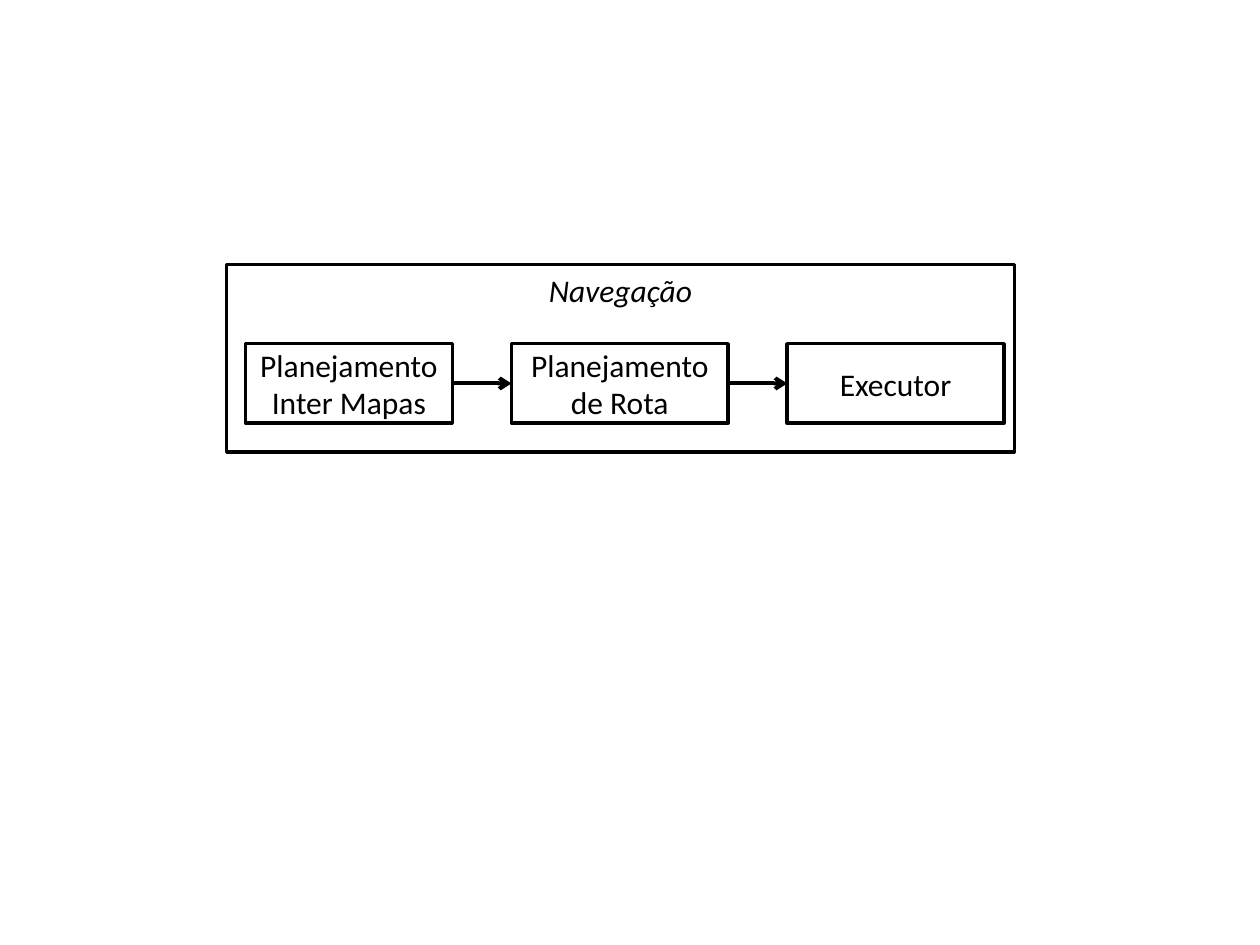
from lxml import etree
from pptx import Presentation
from pptx.dml.color import RGBColor
from pptx.enum.shapes import MSO_CONNECTOR, MSO_SHAPE
from pptx.enum.text import MSO_ANCHOR, PP_ALIGN
from pptx.oxml.ns import qn
from pptx.util import Cm, Pt

RECTANGLE = MSO_SHAPE.RECTANGLE
STRAIGHT = MSO_CONNECTOR.STRAIGHT
TOP, MIDDLE = MSO_ANCHOR.TOP, MSO_ANCHOR.MIDDLE
CENTER = PP_ALIGN.CENTER
LEFT_SIDE, RIGHT_SIDE = 1, 3

# Content
TITLE = "Navegação"
STAGES = [  # paragraphs, width in cm
    (["Planejamento", "Inter Mapas"], 4.17),
    (["Planejamento de Rota"], 4.37),
    (["Executor"], 4.37),
]

# Layout in cm and formats
FRAME = (4.57, 5.33, 15.88, 3.78)
STAGE_LEFT, STAGE_TOP, STAGE_HEIGHT, GAP = 4.95, 6.93, 1.6, 1.19
COLORS = {"ink": "000000"}
INK = RGBColor.from_string(COLORS["ink"])
FONT = {"name": "Calibri", "size": Pt(18)}


def add_box(slide, position, lines, anchor=MIDDLE, **font_extra):
    shape = slide.shapes.add_shape(RECTANGLE, *map(Cm, position))
    shape.shadow.inherit = False
    shape.fill.background()
    shape.line.color.rgb = INK
    shape.line.width = Pt(2)
    frame = shape.text_frame
    frame.word_wrap = True
    frame.vertical_anchor = anchor
    frame.text = "\n".join(lines)
    for paragraph in frame.paragraphs:
        paragraph.alignment = CENTER
        font = paragraph.runs[0].font
        font.color.rgb = INK
        for key, value in {**FONT, **font_extra}.items():
            setattr(font, key, value)
    return shape


def add_arrow(slide, source, target):
    arrow = slide.shapes.add_connector(STRAIGHT, 0, 0, 0, 0)
    arrow.begin_connect(source, RIGHT_SIDE)
    arrow.end_connect(target, LEFT_SIDE)
    arrow.line.color.rgb = INK
    arrow.line.width = Pt(2.25)
    properties = arrow._element.spPr
    etree.SubElement(properties.find(qn("a:ln")), qn("a:tailEnd"), type="arrow")
    etree.SubElement(properties, qn("a:effectLst"))


def main():
    presentation = Presentation()
    presentation.slide_width, presentation.slide_height = Cm(25.4), Cm(19.05)
    slide = presentation.slides.add_slide(presentation.slide_layouts[6])

    # Outer frame with its title
    add_box(slide, FRAME, [TITLE], TOP, italic=True)

    # Chain of stages, each joined to the one before
    left, previous = STAGE_LEFT, None
    for lines, width in STAGES:
        box = add_box(slide, (left, STAGE_TOP, width, STAGE_HEIGHT), lines)
        if previous is not None:
            add_arrow(slide, previous, box)
        left, previous = left + width + GAP, box

    presentation.save("out.pptx")


if __name__ == "__main__":
    main()
